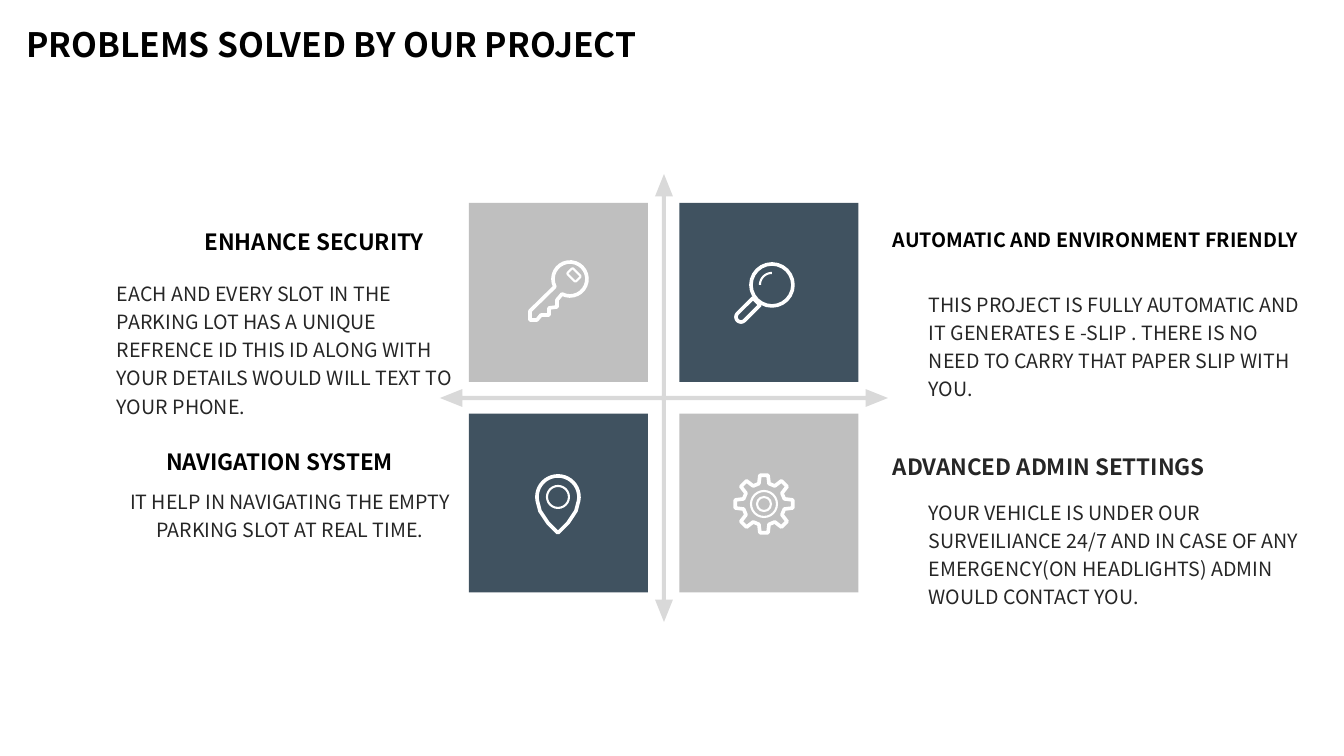
import math

import pptx
import pptx.dml.color
import pptx.enum.shapes
import pptx.enum.text
import pptx.util

RGB = pptx.dml.color.RGBColor
SHAPE = pptx.enum.shapes.MSO_SHAPE
ALIGN = pptx.enum.text.PP_ALIGN
FIT = pptx.enum.text.MSO_AUTO_SIZE
TOP = pptx.enum.text.MSO_ANCHOR.TOP

BLACK = RGB(0x00, 0x00, 0x00)
INK = RGB(0x26, 0x26, 0x26)
WHITE = RGB(0xFF, 0xFF, 0xFF)
PALE = RGB(0xD9, 0xD9, 0xD9)
GREY = RGB(0xBF, 0xBF, 0xBF)
SLATE = RGB(0x40, 0x52, 0x60)

FONT = "Noto Sans CJK SC"
SCALE = 914400 / 100.8
WIDE, HIGH = 1344, 756
THICK, THIN = 2.6, 1.5

TITLE = ("PROBLEMS SOLVED BY OUR PROJECT", (16, 19, 683, 50))

# text, box, alignment, size, colour
HEADS = [
    ("ENHANCE SECURITY", (182, 223, 252, 37), ALIGN.RIGHT, 16, BLACK),
    ("AUTOMATIC AND ENVIRONMENT FRIENDLY", (883, 223, 458, 34),
     ALIGN.LEFT, 14, BLACK),
    ("NAVIGATION SYSTEM", (136, 443, 267, 37), ALIGN.RIGHT, 16, BLACK),
    ("ADVANCED ADMIN SETTINGS", (883, 448, 360, 37), ALIGN.LEFT, 16, INK),
]

# text, box, alignment
NOTES = [
    ("EACH AND EVERY SLOT IN THE PARKING LOT HAS A UNIQUE REFRENCE ID "
     "THIS ID ALONG WITH YOUR DETAILS WOULD WILL TEXT TO YOUR PHONE.",
     (107, 272, 362, 152), ALIGN.LEFT),
    ("THIS PROJECT IS FULLY AUTOMATIC AND IT GENERATES E -SLIP . THERE IS "
     "NO NEED TO CARRY THAT PAPER SLIP WITH YOU.",
     (919, 283, 394, 124), ALIGN.LEFT),
    ("IT HELP IN NAVIGATING THE EMPTY PARKING SLOT AT REAL TIME.",
     (111, 480, 358, 96), ALIGN.CENTER),
    ("YOUR VEHICLE IS UNDER OUR SURVEILIANCE 24/7 AND IN CASE OF ANY "
     "EMERGENCY(ON HEADLIGHTS) ADMIN WOULD CONTACT YOU.",
     (919, 491, 394, 124), ALIGN.LEFT),
]

AXES = (440, 174, 448, 448)
HEAD_FORM = (0.009, 0.02, 0.05)
TILES = [[GREY, SLATE], [SLATE, GREY]]
LEFT, UPPER, SIDE, STEP = 469, 203, 179, 210.5

LENS = (772, 285)
PIN = (558, 497)
GEAR = (764, 504)
TEETH, TIP, ROOT = 8, 29, 21
KEY_TEETH = [(557, 300), (557, 307), (549, 308), (549, 315), (541, 315),
             (537, 320), (530, 320), (530, 311)]
PIN_TAIL = [(576, 511), (568, 523), (558, 533), (548, 523), (540, 511)]
KEY_HOLE = (568, 271, 12, 8)

# centre, radius, line width
RINGS = [(LENS, 21, THICK), (PIN, 11, THIN), (GEAR, 13, THIN),
         (GEAR, 7, THIN)]


def emu(px):
    return round(px * SCALE)


def assign(item, **form):
    for name, value in form.items():
        setattr(item, name, value)


def polar(mid, radius, angle):
    turn = math.radians(angle)
    return (mid[0] + radius * math.cos(turn),
            mid[1] + radius * math.sin(turn))


def arc(mid, radius, start, end, count=24):
    """Points along an arc; angles grow clockwise from the right."""
    return [polar(mid, radius, start + (end - start) * i / count)
            for i in range(count + 1)]


def gear():
    points = []
    for tooth in range(TEETH):
        for radius, turn in ((ROOT, -14), (TIP, -8), (TIP, 8), (ROOT, 14)):
            points.append(polar(GEAR, radius, tooth * 360 / TEETH + turn))
    return points


# points, closed, line width
PATHS = [
    (arc((570, 279), 17, 153, 478) + KEY_TEETH, True, THICK),
    ([(753, 298)] + arc((741, 317), 5, 225, 45, 8) + [(760, 305)],
     True, THICK),
    (arc(LENS, 12, 180, 270), False, THIN),
    (arc(PIN, 21, 160, 380) + PIN_TAIL, True, THICK),
    (gear(), True, THICK),
]


def paint(shape, color):
    shape.shadow.inherit = False
    shape.fill.solid()
    shape.fill.fore_color.rgb = color
    shape.line.fill.background()


def stroke(shape, width):
    shape.shadow.inherit = False
    shape.fill.background()
    shape.line.color.rgb = WHITE
    shape.line.width = pptx.util.Pt(width)


def add(shapes, kind, box):
    return shapes.add_shape(kind, *map(emu, box))


def trace(shapes, points, closed):
    spots = [(emu(x), emu(y)) for x, y in points]
    form = shapes.build_freeform(*spots[0])
    form.add_line_segments(spots[1:], close=closed)
    return form.convert_to_shape()


def write(shape, text, align, size, color, bold=False, wrap=True, lines=1.0):
    frame = shape.text_frame
    assign(frame, text=text, word_wrap=wrap, vertical_anchor=TOP,
           auto_size=FIT.SHAPE_TO_FIT_TEXT)
    para = frame.paragraphs[0]
    assign(para, alignment=align, line_spacing=lines)
    assign(para.font, name=FONT, size=pptx.util.Pt(size), bold=bold)
    para.font.color.rgb = color


def main():
    deck = pptx.Presentation()
    assign(deck, slide_width=emu(WIDE), slide_height=emu(HIGH))
    slide = deck.slides.add_slide(deck.slide_layouts[5])
    shapes = slide.shapes

    text, box = TITLE
    assign(shapes.title,
           **dict(zip(("left", "top", "width", "height"), map(emu, box))))
    write(shapes.title, text, ALIGN.LEFT, 24, BLACK, bold=True)

    axes = add(shapes, SHAPE.QUAD_ARROW, AXES)
    for i, value in enumerate(HEAD_FORM):
        axes.adjustments[i] = value
    paint(axes, PALE)

    for row, colors in enumerate(TILES):
        for col, color in enumerate(colors):
            box = (LEFT + col * STEP, UPPER + row * STEP, SIDE, SIDE)
            paint(add(shapes, SHAPE.RECTANGLE, box), color)

    for points, closed, width in PATHS:
        stroke(trace(shapes, points, closed), width)
    for (x, y), radius, width in RINGS:
        box = (x - radius, y - radius, 2 * radius, 2 * radius)
        stroke(add(shapes, SHAPE.OVAL, box), width)
    hole = add(shapes, SHAPE.ROUNDED_RECTANGLE, KEY_HOLE)
    hole.rotation = 45
    stroke(hole, THIN)

    for text, box, align, size, color in HEADS:
        label = shapes.add_textbox(*map(emu, box))
        write(label, text, align, size, color, bold=True, wrap=False)
    for text, box, align in NOTES:
        note = shapes.add_textbox(*map(emu, box))
        write(note, text, align, 14, INK, lines=1.2)

    deck.save("out.pptx")


if __name__ == "__main__":
    main()
